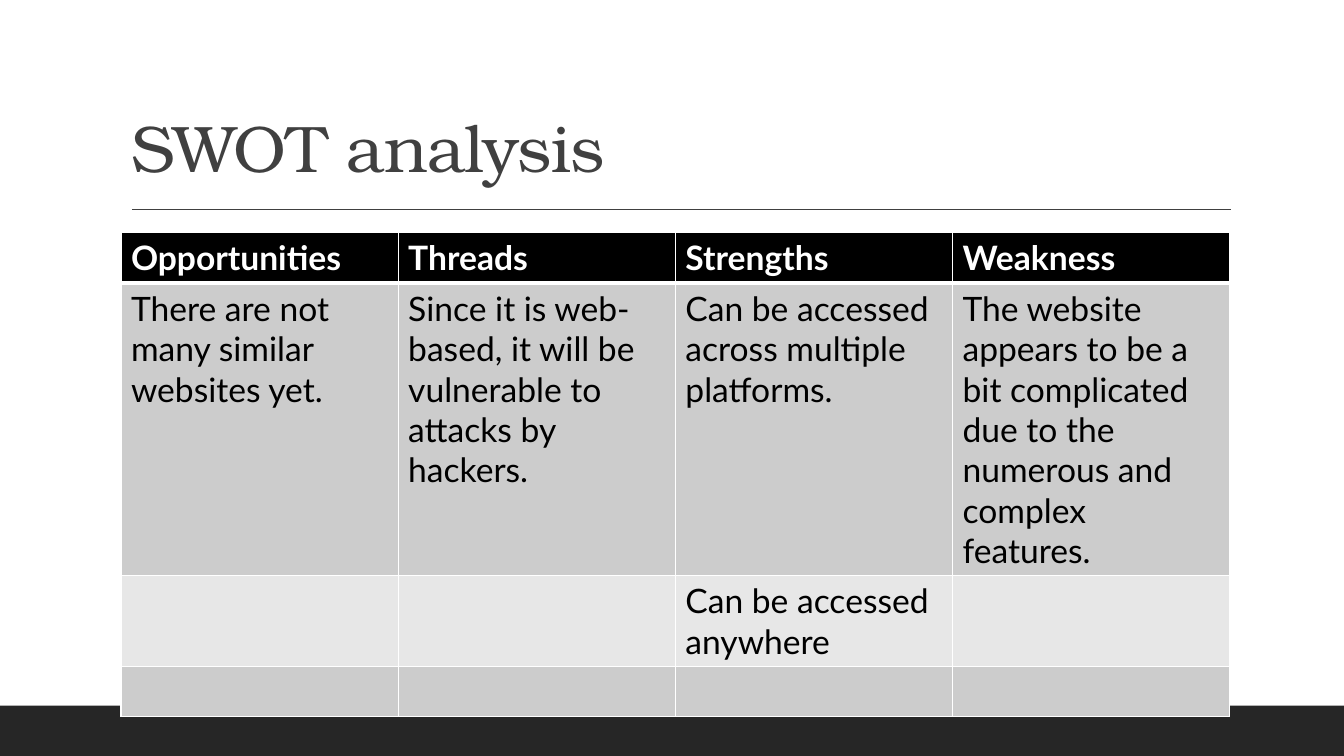
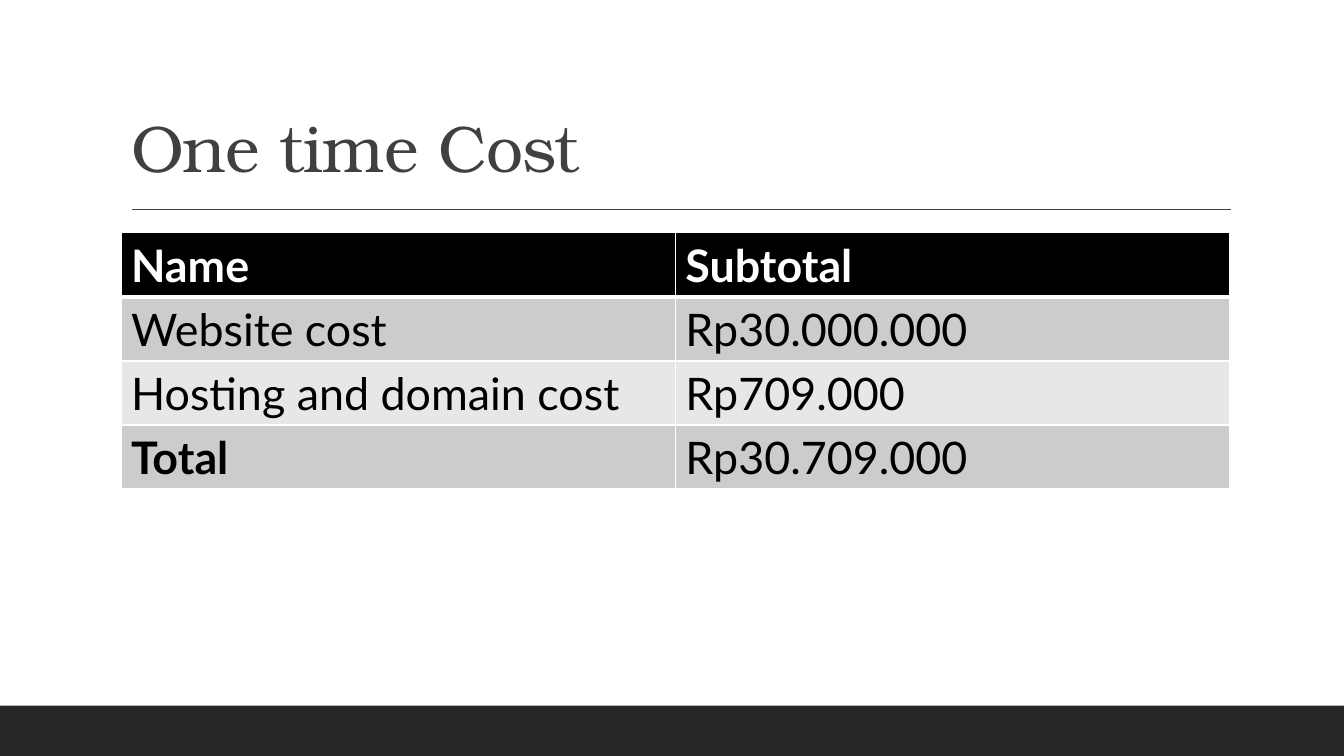
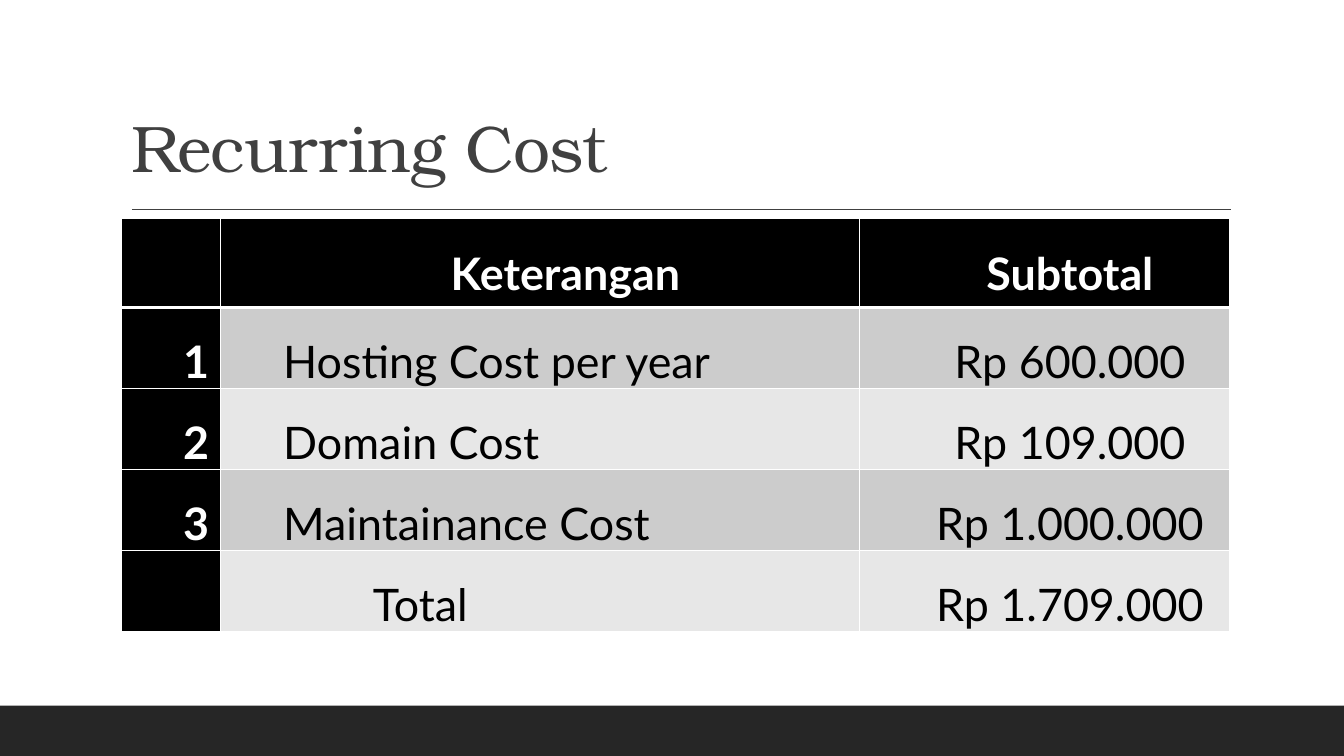
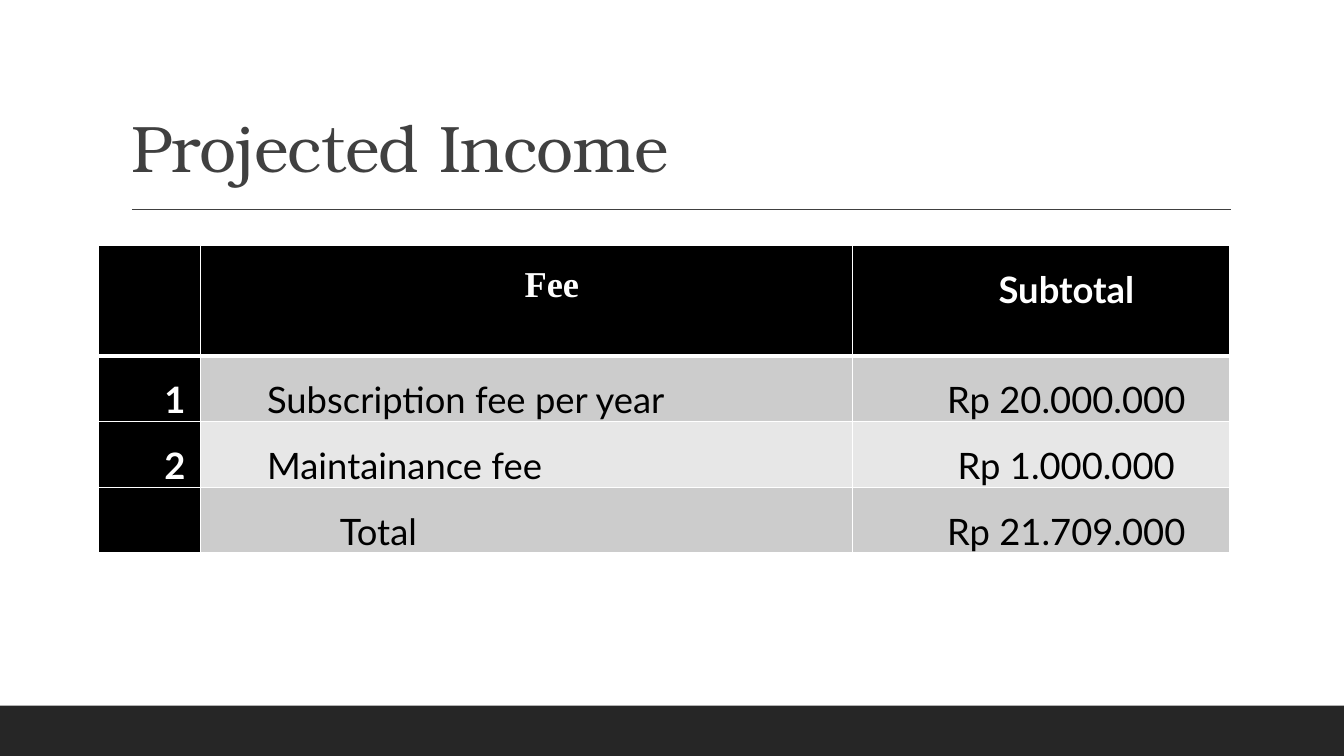
from dataclasses import dataclass

from pptx import Presentation
from pptx.dml.color import RGBColor
from pptx.enum.shapes import MSO_CONNECTOR, MSO_SHAPE
from pptx.enum.text import MSO_ANCHOR, MSO_AUTO_SIZE, PP_ALIGN
from pptx.oxml import parse_xml
from pptx.oxml.ns import nsdecls, qn
from pptx.util import Pt

LEFT, CENTER = PP_ALIGN.LEFT, PP_ALIGN.CENTER
BOTTOM = MSO_ANCHOR.BOTTOM
NO_FIT = MSO_AUTO_SIZE.NONE
RECT = MSO_SHAPE.RECTANGLE
STRAIGHT = MSO_CONNECTOR.STRAIGHT
TITLE_ONLY = 5


@dataclass(frozen=True)
class Theme:
    black: str = "000000"
    white: str = "FFFFFF"
    ink: str = "404040"
    band: str = "262626"
    odd: str = "CCCCCC"
    even: str = "E7E7E7"
    serif: str = "TeX Gyre Bonum"
    sans: str = "Lato"
    roman: str = "Times New Roman"
    title: float = 47
    thin: float = 1
    thick: float = 3


T = Theme()
WIDTH, HEIGHT = 960, 540
BAND = 36

# Content: a cell is a text, or a text with its own format
SLIDES = [
    {
        "title": "SWOT analysis",
        "at": (86.4, 166.3), "size": 24,
        "cols": [198] * 4, "rows": [36, 208.8, 64.8, 36],
        "cells": [
            ["Opportunities", "Threads", "Strengths", "Weakness"],
            ["There are not many similar websites yet.",
             "Since it is web-based, it will be vulnerable to attacks by hackers.",
             "Can be accessed across multiple platforms.",
             "The website appears to be a bit complicated due to the numerous "
             "and complex features."],
            ["", "", "Can be accessed anywhere", ""],
            ["", "", "", ""],
        ],
    },
    {
        "title": "One time Cost",
        "at": (86.4, 166.3), "size": 32,
        "cols": [396] * 2, "rows": [45.6] * 4,
        "cells": [
            ["Name", "Subtotal"],
            ["Website cost", "Rp30.000.000"],
            ["Hosting and domain cost", "Rp709.000"],
            [("Total", {"bold": True}), "Rp30.709.000"],
        ],
    },
    {
        "title": "Recurring Cost",
        "at": (86.4, 156.3), "size": 32, "inset": 8.6,
        "cols": [71.3, 456.5, 264.2], "rows": [63.4] + [57.6] * 4,
        "cells": [
            ["", "Keterangan", "Subtotal"],
            ["1", "Hosting Cost per year", "Rp 600.000"],
            ["2", "Domain Cost", "Rp 109.000"],
            ["3", "Maintainance Cost", "Rp 1.000.000"],
            ["", ("Total", {"indent": 100}), "Rp 1.709.000"],
        ],
    },
    {
        "title": "Projected Income",
        "at": (70.6, 175.2), "size": 26, "inset": 11.5,
        "cols": [72.7, 465.9, 269.2], "rows": [79.2] + [46.8] * 3,
        "cells": [
            ["", ("Fee", {"font": T.roman}), "Subtotal"],
            ["1", "Subscription fee per year", "Rp 20.000.000"],
            ["2", "Maintainance fee", "Rp 1.000.000"],
            ["", ("Total", {"indent": 88}), "Rp 21.709.000"],
        ],
    },
]


def color(code):
    return RGBColor.from_string(code)


def add_run(para, text, font, size, code, bold=False):
    run = para.add_run()
    run.text = text
    run.font.name, run.font.size, run.font.bold = font, Pt(size), bold
    run.font.color.rgb = color(code)
    return run


def set_edges(cell, head):
    props = cell._tc.get_or_add_tcPr()
    for side in "LRTB":
        width = T.thick if head and side == "B" else T.thin
        props.append(parse_xml(
            f'<a:ln{side} {nsdecls("a")} w="{Pt(width)}"><a:solidFill>'
            f'<a:srgbClr val="{T.white}"/></a:solidFill></a:ln{side}>'))


def dress_layout(layout, slide):
    """Put the title place, the foot band and the rule on the layout."""
    for holder in list(layout.placeholders):
        if holder.placeholder_format.idx:
            holder.element.getparent().remove(holder.element)
    title = layout.placeholders[0]
    title.left, title.top = Pt(86.4), Pt(22.6)
    title.width, title.height = Pt(792), Pt(114.4)

    band = slide.shapes.add_shape(
        RECT, 0, Pt(HEIGHT - BAND), Pt(WIDTH), Pt(BAND))
    band.shadow.inherit = False
    band.fill.solid()
    band.fill.fore_color.rgb = color(T.band)
    band.line.fill.background()

    rule = slide.shapes.add_connector(
        STRAIGHT, Pt(94.3), Pt(149.6), Pt(879), Pt(149.6))
    rule.line.color.rgb = color(T.ink)
    rule.line.width = Pt(T.thin)
    props = rule.element.find(qn("p:spPr"))
    props.append(parse_xml(f'<a:effectLst {nsdecls("a")}/>'))

    tree = layout.shapes.element
    tree.insert(2, band.element)
    tree.insert(3, rule.element)


def add_title(slide, text):
    frame = slide.shapes.title.text_frame
    frame.word_wrap = True
    frame.auto_size = NO_FIT
    frame.vertical_anchor = BOTTOM
    para = frame.paragraphs[0]
    para.alignment, para.line_spacing = LEFT, 0.9
    run = add_run(para, text, T.serif, T.title, T.ink)
    run.font._element.set("spc", "-50")


def fill_cell(cell, item, row, col, page):
    text, own = item if isinstance(item, tuple) else (item, {})
    inset = page.get("inset")
    head = row == 0
    dark = head or (inset is not None and col == 0)
    set_edges(cell, head)
    cell.fill.solid()
    shade = T.black if dark else T.odd if row % 2 else T.even
    cell.fill.fore_color.rgb = color(shade)
    if not text:
        return
    para = cell.text_frame.paragraphs[0]
    para.alignment = LEFT
    # Ledger tables use a first-line indent and open lines
    if inset is not None:
        cell.margin_left = cell.margin_right = Pt(inset)
        cell.margin_top = cell.margin_bottom = 0
        para.alignment = CENTER if head or col != 1 else LEFT
        para.line_spacing = 1.5
        props = para._p.get_or_add_pPr()
        props.set("marL", "0")
        props.set("indent", str(Pt(own.get("indent", 36))))
    add_run(para, text, own.get("font", T.sans), page["size"],
            T.white if dark else T.black, own.get("bold", dark))


def add_grid(slide, page):
    cols, rows = page["cols"], page["rows"]
    left, top = page["at"]
    grid = slide.shapes.add_table(
        len(rows), len(cols), Pt(left), Pt(top),
        Pt(sum(cols)), Pt(sum(rows))).table
    grid.horz_banding = False
    for col, width in zip(grid.columns, cols):
        col.width = Pt(width)
    for row, height in zip(grid.rows, rows):
        row.height = Pt(height)
    for r, line in enumerate(page["cells"]):
        for c, item in enumerate(line):
            fill_cell(grid.cell(r, c), item, r, c, page)


def main():
    deck = Presentation()
    deck.slide_width, deck.slide_height = Pt(WIDTH), Pt(HEIGHT)
    layout = deck.slide_layouts[TITLE_ONLY]
    for num, page in enumerate(SLIDES):
        slide = deck.slides.add_slide(layout)
        if num == 0:
            dress_layout(layout, slide)
        add_title(slide, page["title"])
        add_grid(slide, page)
    deck.save("out.pptx")


if __name__ == "__main__":
    main()
